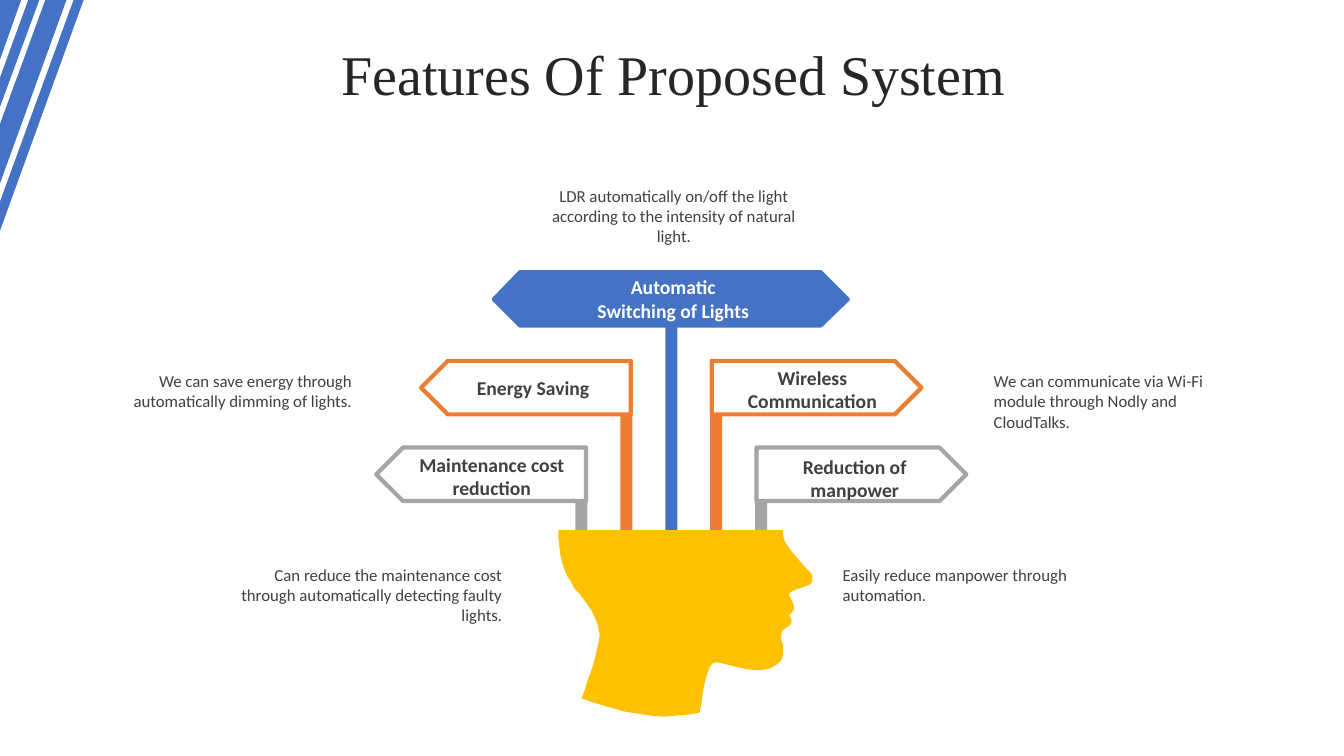
from pptx import Presentation
from pptx.dml.color import RGBColor
from pptx.enum import shapes, text
from pptx.util import Pt

BLUE = RGBColor(0x44, 0x72, 0xC4)
ORANGE = RGBColor(0xED, 0x7D, 0x31)
GREY = RGBColor(0xA5, 0xA5, 0xA5)
GOLD = RGBColor(0xFF, 0xC0, 0x00)
WHITE = RGBColor(0xFF, 0xFF, 0xFF)
INK = RGBColor(0x40, 0x40, 0x40)
TITLE_INK = RGBColor(0x26, 0x26, 0x26)
LEFT, CENTER, RIGHT = text.PP_ALIGN.LEFT, text.PP_ALIGN.CENTER, text.PP_ALIGN.RIGHT
GRID = Pt(0.72)  # unit of the outline points below

deck = Presentation()
deck.slide_width, deck.slide_height = Pt(960), Pt(540)
page = deck.slides.add_slide(deck.slide_layouts[6])


def paint(shape, fill, line=None):
    """Give a shape a flat fill and, if asked, a 3 pt line."""
    shape.shadow.inherit = False
    shape.fill.solid()
    shape.fill.fore_color.rgb = fill
    if line is None:
        shape.line.fill.background()
    else:
        shape.line.color.rgb = line
        shape.line.width = Pt(3)


def write(words, left, top, width, height, size, color, align,
          bold=False, font="Calibri"):
    """Add a wrapped text box and return it."""
    box = page.shapes.add_textbox(Pt(left), Pt(top), Pt(width), Pt(height))
    box.text_frame.word_wrap = True
    para = box.text_frame.paragraphs[0]
    para.text = words
    para.alignment = align
    para.font.name, para.font.size = font, Pt(size)
    para.font.bold = bold
    para.font.color.rgb = color
    return box


# Corner stripes
stripes = [
    [(73, 0), (83, 0), (0, 229), (0, 200)],
    [(39, 0), (0, 106), (0, 77), (28, 0)],
    [(66, 0), (0, 182), (0, 123), (45, 0)],
    [(0, 0), (21, 0), (0, 59)],
]
for stripe in stripes:
    outline = page.shapes.build_freeform(*stripe[0], scale=GRID)
    outline.add_line_segments(stripe[1:])
    paint(outline.convert_to_shape(), BLUE)

# Title
title = write("Features Of Proposed System", 25.2, 26.6, 911.5, 56.9, 40,
              TITLE_INK, CENTER, font="Times New Roman")
title.text_frame.vertical_anchor = text.MSO_ANCHOR.MIDDLE
title.text_frame.paragraphs[0].line_spacing = 0.9
title.text_frame.paragraphs[0].space_before = Pt(10)

# Posts, spread evenly about the middle one
MIDDLE, POST_STEP, POST_WIDTH, POST_FOOT = 479.5, 32.1, 8.6, 393.5
posts = [(0, 232, BLUE), (-1, 257, ORANGE), (1, 257, ORANGE),
         (-2, 319.7, GREY), (2, 319.7, GREY)]
for place, top, color in posts:
    left = MIDDLE + place * POST_STEP - POST_WIDTH / 2
    post = page.shapes.add_shape(
        shapes.MSO_SHAPE.RECTANGLE,
        Pt(left), Pt(top), Pt(POST_WIDTH), Pt(POST_FOOT - top))
    paint(post, color)

# Head in profile, clockwise from the back of the crown
head_points = [
    (554, 526), (777, 526), (777, 532), (778, 536), (781, 541), (787, 549),
    (793, 556), (800, 564), (804, 568), (806, 571), (806, 576), (805, 578),
    (803, 580), (798, 582), (792, 584), (787, 586), (785, 587), (783, 589),
    (783, 591), (785, 595), (787, 599), (788, 603), (787, 606), (783, 610),
    (783, 611), (785, 614), (785, 618), (784, 620), (781, 622), (777, 625),
    (776, 626), (775, 629), (775, 635), (777, 640), (777, 649), (775, 655),
    (771, 659), (766, 662), (761, 664), (752, 665), (742, 664), (732, 662),
    (724, 660), (716, 658), (711, 657), (707, 658), (704, 662), (701, 670),
    (699, 678), (697, 688), (696, 697), (694, 707), (682, 709), (670, 710),
    (658, 711), (646, 710), (633, 708), (620, 706), (606, 702), (592, 698),
    (577, 693), (580, 685), (583, 675), (586, 667), (588, 661), (590, 654),
    (592, 645), (594, 636), (595, 629), (594, 626), (593, 620), (591, 615),
    (587, 606), (583, 600), (575, 589), (570, 584), (567, 578), (563, 572),
    (560, 565), (558, 559), (556, 551), (555, 542), (554, 534),
]
outline = page.shapes.build_freeform(*head_points[0], scale=GRID)
outline.add_line_segments(head_points[1:])
paint(outline.convert_to_shape(), GOLD)

# Side signs: distance of the flat end from the middle, top, colour
SIGN_WIDTH, SIGN_HEIGHT = 149.8, 38.2
for gap, top, color in [(60.9, 319.7, GREY), (28.9, 257.8, ORANGE)]:
    for left, turn in [(MIDDLE + gap, 0), (MIDDLE - gap - SIGN_WIDTH, 180)]:
        sign = page.shapes.add_shape(
            shapes.MSO_SHAPE.PENTAGON,
            Pt(left), Pt(top), Pt(SIGN_WIDTH), Pt(SIGN_HEIGHT))
        sign.rotation = turn
        paint(sign, WHITE, color)

# Top sign, pointed at both ends
outline = page.shapes.build_freeform(516, 270, scale=GRID)
outline.add_line_segments([(814, 270), (841, 297), (814, 323), (516, 323), (490, 297)])
paint(outline.convert_to_shape(), BLUE, BLUE)

# Sign labels
labels = [
    ("Automatic Switching of Lights", 417.6, 193, 126.7, WHITE),
    ("Energy Saving", 318.2, 265, 125.3, INK),
    ("Maintenance cost reduction", 288.7, 319.7, 125.3, INK),
    ("Reduction of manpower", 547.9, 321.1, 125.3, INK),
    ("Wireless Communication", 517.7, 257.8, 125.3, INK),
]
for words, left, top, width, color in labels:
    write(words, left, top, width, 41, 14, color, CENTER, bold=True)

# Explanations beside the signs
notes = [
    ("LDR automatically on/off the light according to the intensity of "
     "natural light.", 380.9, 128.9, CENTER),
    ("We can save energy through automatically dimming of lights.",
     57.6, 261.4, RIGHT),
    ("We can communicate via Wi-Fi module through Nodly and CloudTalks.",
     702.7, 261.4, LEFT),
    ("Can reduce the maintenance cost through automatically detecting "
     "faulty lights.", 164.9, 399.6, RIGHT),
    ("Easily reduce manpower through automation.", 594.7, 399.6, LEFT),
]
for words, left, top, align in notes:
    write(words, left, top, 200.9, 51, 12, INK, align)

deck.save("out.pptx")
